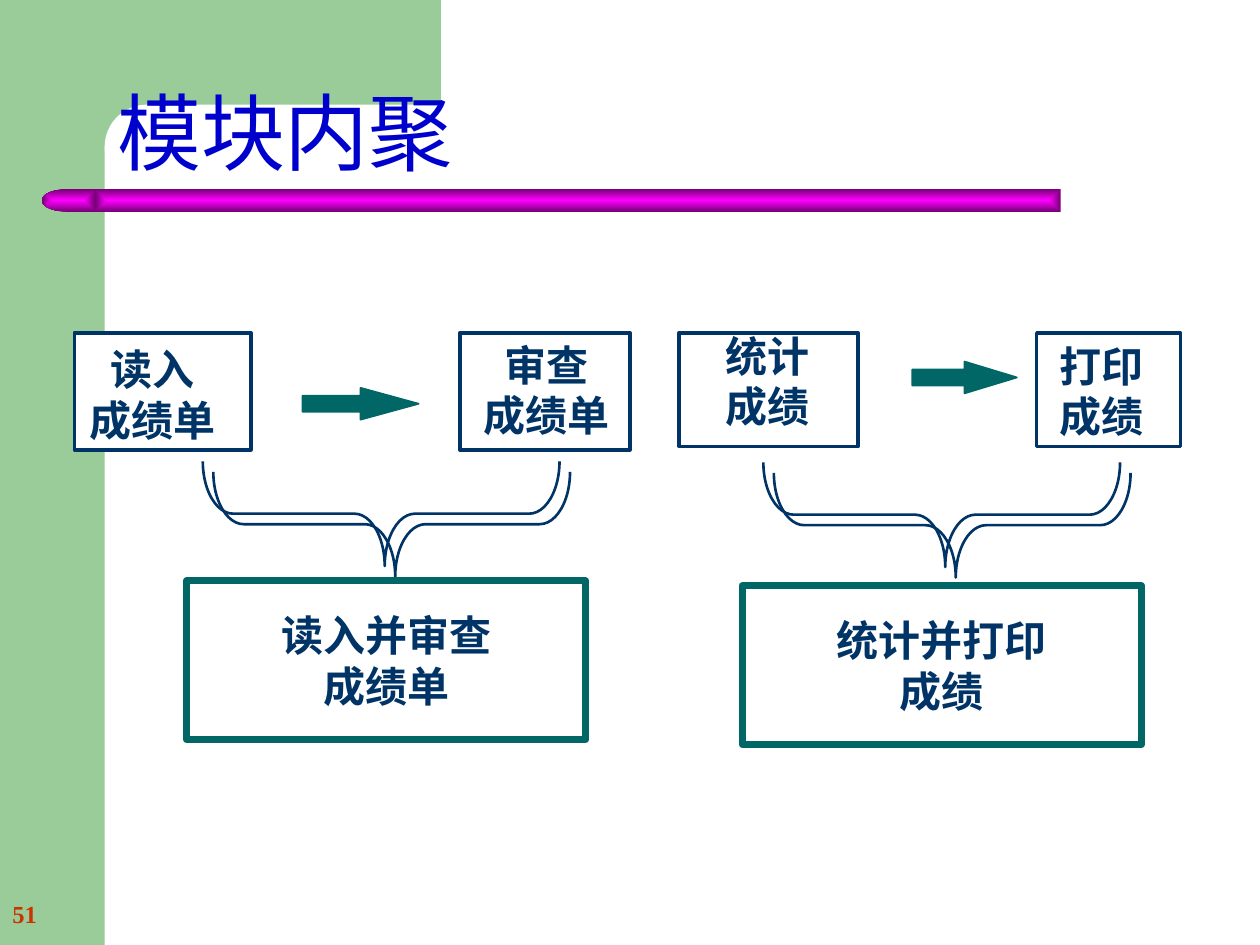
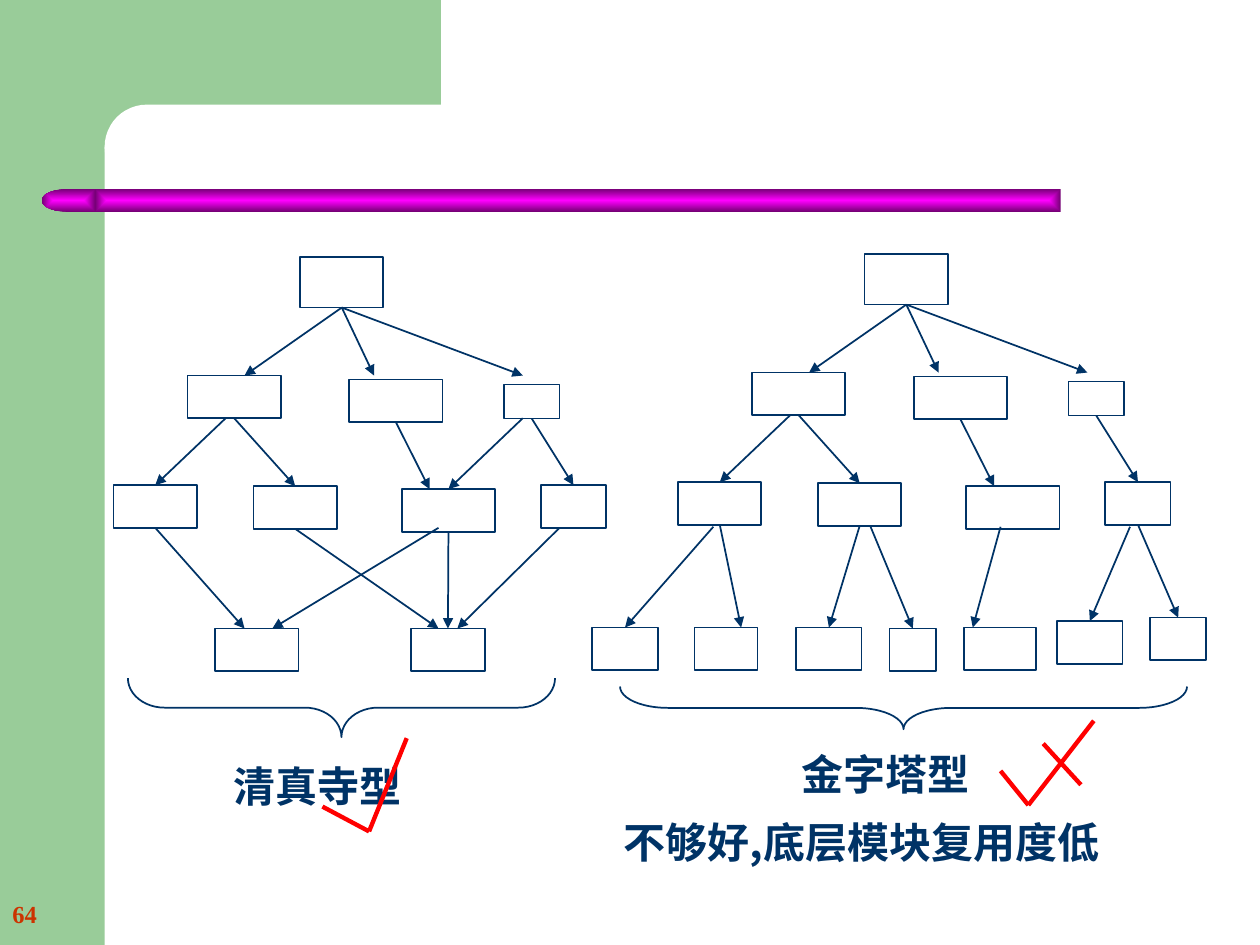
from typing import NamedTuple

from lxml.etree import SubElement
from pptx import Presentation
from pptx.dml.color import RGBColor
from pptx.enum.shapes import MSO_CONNECTOR, MSO_SHAPE
from pptx.enum.text import MSO_ANCHOR, PP_ALIGN
from pptx.oxml.ns import qn
from pptx.util import Cm, Pt

# Shared colours and fonts
GREEN, WHITE, NAVY, TEAL = "99CC99", "FFFFFF", "003366", "006666"
TITLE_BLUE, NUMBER_RED, MARK_RED = "0000CC", "CC3300", "FF0000"
BAR_CORE, BAR_EDGE = "FF00FF", "760076"
CJK, LATIN, SERIF = "Noto Sans CJK SC", "Lato", "Times New Roman"
GLUE_DISTANCE = Cm(0.12)


class Frame(NamedTuple):
    """Left, top, width and height in centimetres."""
    x: float
    y: float
    w: float
    h: float

    def lengths(self) -> list:
        return [Cm(v) for v in self]


class Link(NamedTuple):
    """Start and end of a straight line in centimetres."""
    x1: float
    y1: float
    x2: float
    y2: float


class Step(NamedTuple):
    """A module box with its separately placed label."""
    box: Frame
    label: Frame
    text: str
    centred: bool


class Merge(NamedTuple):
    """Two steps joined by an arrow and a brace into one module."""
    steps: tuple
    arrow: Frame
    brace: Frame
    result: Frame
    text: str


class Tree(NamedTuple):
    """A module hierarchy: shared upper part, own lower part, brace."""
    dx: float
    dy: float
    leaves: tuple
    links: tuple
    brace: Frame
    curve: float


def rgb(colour: str) -> RGBColor:
    return RGBColor.from_string(colour)


def put_text(sp, text: str, *, size=24, colour=NAVY, bold=True, font=CJK,
             align=PP_ALIGN.LEFT, anchor=MSO_ANCHOR.TOP, wrap=True, spacing=None):
    """Fill a shape with one paragraph for each line of text."""
    tf = sp.text_frame
    tf.word_wrap, tf.vertical_anchor = wrap, anchor
    for i, line in enumerate(text.split("\n")):
        p = tf.add_paragraph() if i else tf.paragraphs[0]
        p.alignment, p.line_spacing = align, spacing
        r = p.add_run()
        r.text = line
        r.font.size, r.font.bold, r.font.name = Pt(size), bold, font
        r.font.color.rgb = rgb(colour)
        SubElement(r.font._element, qn("a:ea")).set("typeface", CJK)


def add_label(s, frame: Frame, text: str, **fmt):
    put_text(s.shapes.add_textbox(*frame.lengths()), text, **fmt)


def add_shape(s, frame: Frame, kind=MSO_SHAPE.RECTANGLE, fill=None, line=None,
              width=1.0, adj=()):
    sp = s.shapes.add_shape(kind, *frame.lengths())
    sp.shadow.inherit = False
    for i, value in enumerate(adj):
        sp.adjustments[i] = value
    if fill:
        sp.fill.solid()
        sp.fill.fore_color.rgb = rgb(fill)
    else:
        sp.fill.background()
    if line:
        sp.line.color.rgb = rgb(line)
        sp.line.width = Pt(width)
    else:
        sp.line.fill.background()
    return sp


def add_bar(s, frame: Frame, kind, adj=()):
    """Add a part of the title bar, bright in the core and dark at the edge."""
    sp = add_shape(s, frame, kind, adj=adj)
    sp.fill.gradient()
    for stop, colour in zip(sp.fill.gradient_stops, (BAR_CORE, BAR_EDGE)):
        stop.color.rgb = rgb(colour)
    grad = sp._element.spPr.find(qn("a:gradFill"))
    grad.remove(grad.find(qn("a:lin")))
    rect = SubElement(grad, qn("a:path"), {"path": "rect"})
    SubElement(rect, qn("a:fillToRect"), dict.fromkeys("ltrb", "50000"))
    return sp


def add_brace(s, frame: Frame, curve: float, point=0.5, width=1.0, shadow=False):
    """Add a brace that opens upwards and fills the frame."""
    x, y, w, h = frame
    upright = Frame(x + (w - h) / 2, y + (h - w) / 2, h, w)
    sp = add_shape(s, upright, MSO_SHAPE.LEFT_BRACE, line=NAVY, width=width,
                   adj=(curve, point))
    sp.rotation = 270
    if shadow:
        effects = sp._element.spPr.find(qn("a:effectLst"))
        shade = SubElement(effects, qn("a:outerShdw"), {
            "dist": str(Pt(8.5)), "dir": "2700000", "algn": "ctr", "rotWithShape": "0"})
        SubElement(shade, qn("a:srgbClr")).set("val", NAVY)


def add_line(s, link: Link, colour=NAVY, width=1.0, arrow=False):
    cn = s.shapes.add_connector(MSO_CONNECTOR.STRAIGHT, *[Cm(v) for v in link])
    cn.line.color.rgb = rgb(colour)
    cn.line.width = Pt(width)
    if arrow:
        SubElement(cn.line._get_or_add_ln(), qn("a:tailEnd")).set("type", "triangle")
    SubElement(cn._element.spPr, qn("a:effectLst"))
    return cn


def add_tree_link(s, link: Link, boxes: list):
    """Add an arrow and join it to the boxes whose side middles it meets."""
    cn = add_line(s, link, arrow=True)
    ends = (cn.begin_x, cn.begin_y), (cn.end_x, cn.end_y)
    for (x, y), join, side in zip(ends, (cn.begin_connect, cn.end_connect), (2, 0)):
        for box in boxes:
            edge = box.top + (box.height if side == 2 else 0)
            middle = box.left + box.width // 2
            if max(abs(x - middle), abs(y - edge)) <= GLUE_DISTANCE:
                join(box, side)


def add_base(prs, number: int, title: str = ""):
    """Add a slide with the green corner, title bar, number and title."""
    s = prs.slides.add_slide(prs.slide_layouts[6])
    add_shape(s, Frame(0, 0, 2.11, 19.05), fill=GREEN)
    add_shape(s, Frame(1.9, 0, 6.99, 2.96), fill=GREEN)
    add_shape(s, Frame(2.11, 2.11, 14.17, 1.7), MSO_SHAPE.ROUNDED_RECTANGLE,
              fill=WHITE, adj=(0.5,))
    add_bar(s, Frame(1.92, 3.81, 19.46, 0.46), MSO_SHAPE.ROUNDED_RECTANGLE, adj=(0,))
    add_bar(s, Frame(0.84, 3.81, 1.08, 0.46), MSO_SHAPE.FLOWCHART_DELAY).rotation = 180
    add_label(s, Frame(0, 17.78, 5.28, 1.27), str(number), size=14, colour=NUMBER_RED,
              font=SERIF, anchor=MSO_ANCHOR.MIDDLE)
    if title:
        add_label(s, Frame(2.11, 0.64, 22.22, 3.17), title, size=48, colour=TITLE_BLUE,
                  bold=False, anchor=MSO_ANCHOR.BOTTOM, spacing=0.9)
    return s


# Module cohesion
MERGES = (
    Merge((Step(Frame(1.5, 6.71, 3.56, 2.36), Frame(1.55, 6.81, 3.05, 2.29),
                "读入\n成绩单", True),
           Step(Frame(9.27, 6.71, 3.43, 2.36), Frame(9.5, 6.71, 3.05, 2.29),
                "审查\n成绩单", True)),
          Frame(6.1, 7.82, 2.34, 0.64), Frame(4.09, 9.3, 7.19, 2.11),
          Frame(3.76, 11.71, 8.05, 3.2), "读入并审查\n成绩单"),
    Merge((Step(Frame(13.69, 6.71, 3.61, 2.29), Frame(14.38, 6.53, 2.22, 2.29),
                "统计\n成绩", False),
           Step(Frame(20.9, 6.71, 2.9, 2.29), Frame(21.11, 6.73, 2.49, 2.29),
                "打印\n成绩", False)),
          Frame(18.39, 7.29, 2.11, 0.64), Frame(15.39, 9.32, 7.19, 2.11),
          Frame(14.96, 11.81, 8.05, 3.2), "统计并打印\n成绩"),
)


def add_merge(s, merge: Merge):
    for step in merge.steps:
        add_shape(s, step.box, fill=WHITE, line=NAVY, width=2)
        add_label(s, step.label, step.text, wrap=not step.centred,
                  align=PP_ALIGN.CENTER if step.centred else PP_ALIGN.LEFT)
    add_shape(s, merge.arrow, MSO_SHAPE.RIGHT_ARROW, fill=TEAL, line=TEAL,
              adj=(0.5, merge.arrow.w / merge.arrow.h / 2))
    add_brace(s, merge.brace, 0.29, point=0.51, width=1.5, shadow=True)
    sp = add_shape(s, merge.result, fill=WHITE, line=TEAL, width=4)
    put_text(sp, merge.text, font=LATIN, align=PP_ALIGN.CENTER, anchor=MSO_ANCHOR.MIDDLE)


# Module hierarchies: the upper three levels are alike
UPPER_BOXES = (
    Frame(6.05, 5.18, 1.68, 1.02),
    Frame(3.78, 7.57, 1.88, 0.86), Frame(7.04, 7.65, 1.88, 0.86),
    Frame(10.16, 7.75, 1.12, 0.69),
    Frame(2.29, 9.78, 1.68, 0.86), Frame(5.11, 9.8, 1.68, 0.86),
    Frame(8.1, 9.86, 1.88, 0.86), Frame(10.9, 9.78, 1.32, 0.86),
)
UPPER_LINKS = (
    *(Link(6.78, 6.2, x, 7.57) for x in (4.93, 7.54, 10.54)),
    Link(4.55, 8.43, 3.05, 9.78), Link(4.72, 8.43, 5.84, 9.78),
    Link(7.92, 8.48, 8.66, 9.86), Link(10.72, 8.43, 11.48, 9.78),
)
MOSQUE = Tree(
    0, 0,
    (Frame(4.34, 12.67, 1.68, 0.86), Frame(8.28, 12.67, 1.5, 0.86)),
    (Link(10.54, 8.43, 9.04, 9.78), Link(9.04, 10.82, 9.04, 12.67),
     *(Link(x1, 10.64, x2, 12.67) for x1, x2 in
       ((3.23, 4.93), (8.84, 5.49), (5.84, 8.84), (11.28, 9.22)))),
    Frame(2.58, 13.67, 8.61, 1.19), 0.62)
PYRAMID = Tree(
    11.38, -0.06,
    tuple(Frame(x, y, w, 0.86) for x, y, w in (
        (11.94, 12.65, 1.32), (14, 12.65, 1.27), (16.05, 12.65, 1.32),
        (17.93, 12.67, 0.94), (19.43, 12.65, 1.45), (21.31, 12.52, 1.32),
        (23.19, 12.45, 1.12))),
    tuple(Link(x1, 10.62, x2, y2) for x1, x2, y2 in (
        (14.38, 12.7, 12.65), (14.55, 14.94, 12.65), (17.37, 16.81, 12.65),
        (17.55, 18.31, 12.65), (20.17, 19.61, 12.65), (22.78, 22.05, 12.47),
        (22.99, 23.72, 12.47))),
    Frame(12.5, 13.84, 11.43, 0.86), 1.12)
VERDICTS = (
    (Frame(4.45, 15.21, 5.23, 1.27), "清真寺型"),
    (Frame(12.32, 16.33, 12.17, 1.27), "不够好,底层模块复用度低"),
    (Frame(15.9, 14.96, 5.23, 1.27), "金字塔型"),
)
MARKS = (
    Link(6.5, 16.26, 7.44, 16.76), Link(7.44, 16.76, 8.2, 14.88),
    Link(20.17, 15.54, 20.73, 16.23), Link(20.73, 16.23, 22.05, 14.53),
    Link(21.03, 14.99, 21.79, 15.82),
)


def add_tree(s, tree: Tree):
    dx, dy = tree.dx, tree.dy
    upper = [Frame(x + dx, y + dy, w, h) for x, y, w, h in UPPER_BOXES]
    links = [Link(x1 + dx, y1 + dy, x2 + dx, y2 + dy) for x1, y1, x2, y2 in UPPER_LINKS]
    boxes = [add_shape(s, frame, line=NAVY) for frame in (*upper, *tree.leaves)]
    for link in (*links, *tree.links):
        add_tree_link(s, link, boxes)
    add_brace(s, tree.brace, tree.curve)


def main():
    prs = Presentation()
    prs.slide_width, prs.slide_height = Cm(25.4), Cm(19.05)

    s = add_base(prs, 51, "模块内聚")
    for merge in MERGES:
        add_merge(s, merge)

    s = add_base(prs, 64)
    for tree in (MOSQUE, PYRAMID):
        add_tree(s, tree)
    for frame, text in VERDICTS:
        add_label(s, frame, text)
    for mark in MARKS:
        add_line(s, mark, MARK_RED, 2.5)

    prs.save("out.pptx")


if __name__ == "__main__":
    main()
